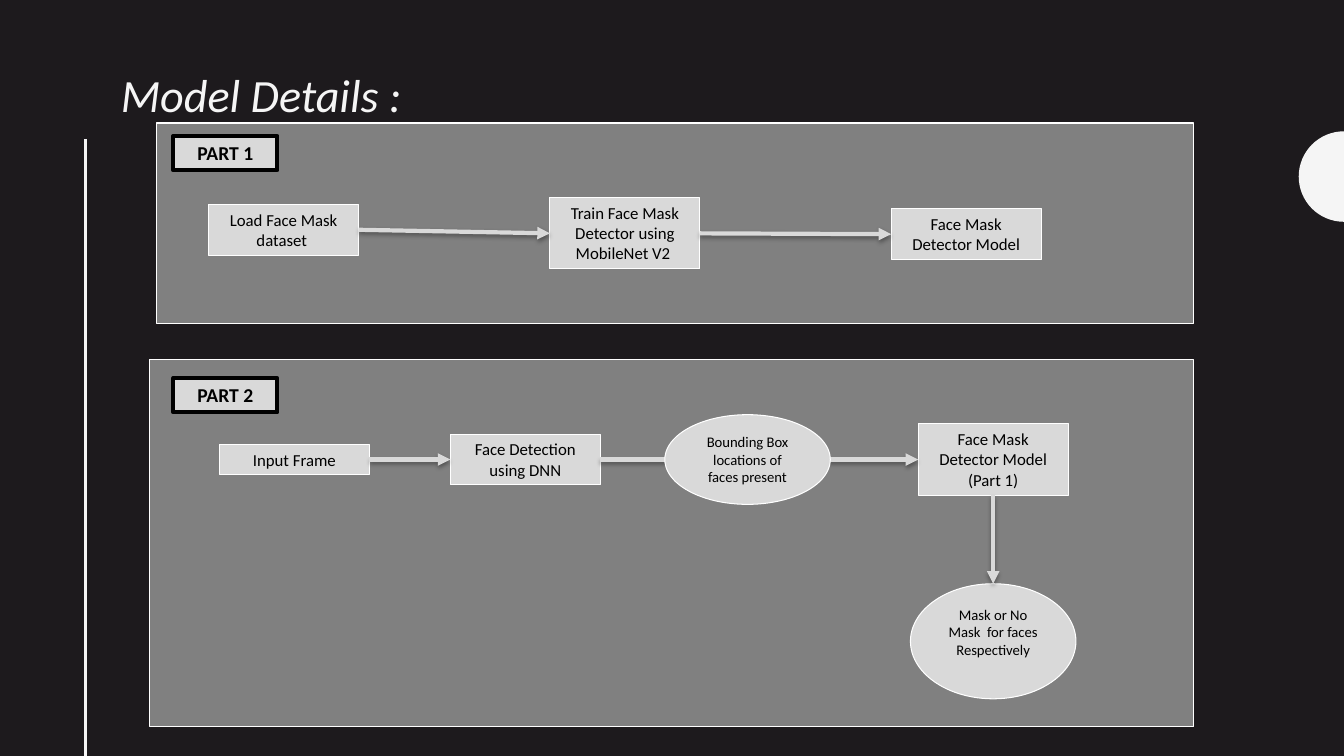
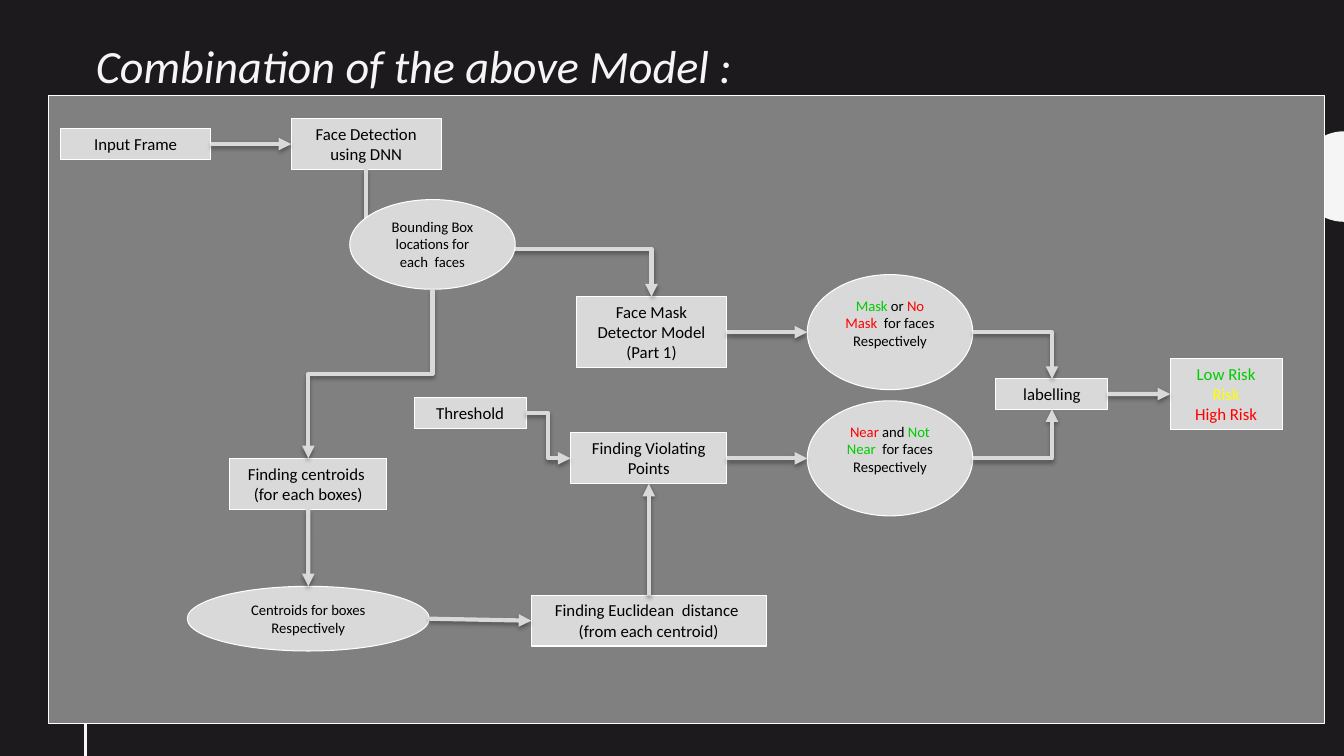
import math

import lxml.etree
import pptx
import pptx.dml.color
import pptx.enum.shapes
import pptx.enum.text
import pptx.oxml.ns
import pptx.util

Cm, Pt = pptx.util.Cm, pptx.util.Pt
SHAPE = pptx.enum.shapes.MSO_SHAPE
CONNECTOR = pptx.enum.shapes.MSO_CONNECTOR
ALIGN = pptx.enum.text.PP_ALIGN
qn = pptx.oxml.ns.qn

# Shared look
FONT = "Calibri"
DARK, LIGHT, PANEL, NODE = "1D1A1D", "F5F5F5", "808080", "D9D9D9"
BLACK, WHITE = "000000", "FFFFFF"
GREEN, RED, YELLOW = "00CC00", "FF0000", "FFFF00"
SLIDE_W, SLIDE_H = 33.87, 19.05
NODE_W = 3.78
SMALL_W = 2.82
OVAL = (4.17, 2.26)
TALL_OVAL = (4.17, 2.9)
SIDES = ("top", "left", "bottom", "right")


def rgb(value):
    return pptx.dml.color.RGBColor.from_string(value)


def write(tf, paragraphs, size=12, color=BLACK, bold=False, italic=False,
          align=ALIGN.CENTER, spacing=None):
    """Each paragraph is a string or a list of (text, colour) runs."""
    tf.word_wrap = True
    tf.auto_size = pptx.enum.text.MSO_AUTO_SIZE.NONE
    tf.vertical_anchor = pptx.enum.text.MSO_ANCHOR.TOP
    for i, content in enumerate(paragraphs):
        p = tf.add_paragraph() if i else tf.paragraphs[0]
        p.alignment = align
        if spacing:
            p.line_spacing = spacing
        runs = [(content, color)] if isinstance(content, str) else content
        for text, run_color in runs:
            r = p.add_run()
            r.text = text
            r.font.name, r.font.size = FONT, Pt(size)
            r.font.bold, r.font.italic = bold, italic
            r.font.color.rgb = rgb(run_color)


def add_box(slide, kind, x, y, w, h, fill=NODE, line=WHITE, weight=0.75):
    sp = slide.shapes.add_shape(kind, Cm(x), Cm(y), Cm(w), Cm(h))
    sp.shadow.inherit = False
    sp.fill.solid()
    sp.fill.fore_color.rgb = rgb(fill)
    sp.line.color.rgb = rgb(line)
    sp.line.width = Pt(weight)
    return sp


class Panel:
    """Grey region; its parts are placed by their centre, from its corner."""

    def __init__(self, slide, x, y, w, h):
        self.slide, self.x, self.y = slide, x, y
        add_box(slide, SHAPE.RECTANGLE, x, y, w, h, PANEL)

    def place(self, kind, cx, cy, w, h, **style):
        return add_box(self.slide, kind, self.x + cx - w / 2,
                       self.y + cy - h / 2, w, h, **style)

    def step(self, cx, cy, *paragraphs, lines=1, w=NODE_W):
        sp = self.place(SHAPE.RECTANGLE, cx, cy, w, 0.25 + 0.515 * lines)
        write(sp.text_frame, paragraphs)
        return sp

    def data(self, cx, cy, content, size=OVAL):
        sp = self.place(SHAPE.OVAL, cx, cy, *size)
        write(sp.text_frame, [content], size=10.5)
        return sp

    def tag(self, cx, cy, text):
        sp = self.place(SHAPE.RECTANGLE, cx, cy, 2.62, 0.86, line=BLACK, weight=3)
        write(sp.text_frame, [text], size=14, bold=True)


def port(sp, side):
    """Point and connection site at the middle of one side."""
    fx, fy = {"top": (0.5, 0), "left": (0, 0.5),
              "bottom": (0.5, 1), "right": (1, 0.5)}[side]
    site = SIDES.index(side)
    if sp.auto_shape_type == SHAPE.OVAL:
        site *= 2
    return round(sp.left + fx * sp.width), round(sp.top + fy * sp.height), site


def sub(parent, tag, **attrs):
    return lxml.etree.SubElement(parent, qn(tag), attrs)


def arrow(slide, a, b, start="right", end="left", bend=None, adj=0.5):
    """Arrow from a to b; bend is None, "step" or "corner"."""
    x1, y1, site1 = port(a, start)
    x2, y2, site2 = port(b, end)
    kind = CONNECTOR.ELBOW if bend else CONNECTOR.STRAIGHT
    line = slide.shapes.add_connector(kind, x1, y1, x2, y2)
    line._connect_begin_to(a, site1)
    line._connect_end_to(b, site2)
    line.line.color.rgb = rgb(NODE)
    line.line.width = Pt(3)
    pr = line._element.spPr
    geom = pr.find(qn("a:prstGeom"))
    if bend == "corner":
        geom.set("prst", "bentConnector2")
    elif bend == "step":
        values = geom.find(qn("a:avLst"))
        if values is None:
            values = sub(geom, "a:avLst")
        sub(values, "a:gd", name="adj1", fmla=f"val {round(adj * 100000)}")
        if start == "bottom":
            # Leave downwards: turn the elbow by a quarter
            w, h = abs(y2 - y1), abs(x2 - x1)
            line.left, line.top = (x1 + x2 - w) // 2, (y1 + y2 - h) // 2
            line.width, line.height = w, h
            xfrm = pr.find(qn("a:xfrm"))
            for flip in ("flipH", "flipV"):
                xfrm.attrib.pop(flip, None)
            xfrm.set("rot", str((270 if x2 > x1 else 90) * 60000))
            if x2 > x1:
                xfrm.set("flipH", "1")
    # Arrowhead and soft shadow
    sub(pr.find(qn("a:ln")), "a:tailEnd", type="triangle")
    shadow = sub(sub(pr, "a:effectLst"), "a:outerShdw", blurRad=str(Pt(3.1)),
                 dist=str(Pt(1.8)), dir="5400000", rotWithShape="0")
    sub(sub(shadow, "a:srgbClr", val=BLACK), "a:alpha", val="35000")


def decorate_layout(layout, slide):
    """Side rule and half disc, built on a slide and moved to its layout."""
    rule = slide.shapes.add_connector(CONNECTOR.STRAIGHT, Cm(2.16), Cm(3.5),
                                      Cm(2.16), Cm(SLIDE_H))
    rule.line.color.rgb = rgb(LIGHT)
    rule.line.width = Pt(2)
    sub(rule._element.spPr, "a:effectLst")

    radius, cy = 1.14, 4.45
    arc = [(Cm(SLIDE_W - radius * math.sin(math.pi * i / 32)),
            Cm(cy - radius * math.cos(math.pi * i / 32))) for i in range(33)]
    builder = slide.shapes.build_freeform(*arc[0])
    builder.add_line_segments(arc[1:], close=True)
    disc = builder.convert_to_shape()
    disc.shadow.inherit = False
    disc.fill.solid()
    disc.fill.fore_color.rgb = rgb(LIGHT)
    disc.line.fill.background()

    for number, part in enumerate((rule, disc), 90):
        part._element.xpath(".//p:cNvPr")[0].set("id", str(number))
        layout.shapes._spTree.append(part._element)


def add_title(slide, text, x, y):
    title = slide.shapes.title
    title.left, title.top, title.width, title.height = (
        Cm(x), Cm(y), Cm(19.53), Cm(1.96))
    write(title.text_frame, [text], size=33, color=LIGHT, italic=True,
          align=ALIGN.LEFT, spacing=1.14)


def training_part(slide, *box):
    panel = Panel(slide, *box)
    first, pitch = 3.21, 8.6
    steps = [("Load Face Mask dataset ", 2.69, 2),
             ("Train Face Mask Detector using MobileNet V2 ", 2.78, 3),
             ("Face Mask Detector Model", 2.8, 2)]
    nodes = [panel.step(first + i * pitch, cy, text, lines=lines)
             for i, (text, cy, lines) in enumerate(steps)]
    for a, b in zip(nodes, nodes[1:]):
        arrow(slide, a, b)
    panel.tag(1.74, 0.76, "PART 1")


def detection_part(slide, *box):
    panel = Panel(slide, *box)
    row = 2.51
    frame = panel.step(3.64, row, "Input Frame")
    detection = panel.step(9.46, row, "Face Detection using DNN", lines=2)
    model = panel.step(21.25, row, "Face Mask Detector Model", "(Part 1)", lines=3)
    arrow(slide, frame, detection)
    arrow(slide, detection, model)
    panel.data(15.06, row, "Bounding Box locations of faces present")
    result = panel.data(21.25, 7.09, "Mask or No Mask  for faces Respectively", TALL_OVAL)
    arrow(slide, model, result, "bottom", "top")
    panel.tag(1.9, 0.89, "PART 2")


def combined_flow(slide, *box):
    panel = Panel(slide, *box)
    mask_row, near_row, label_row = 5.96, 9.14, 7.52
    left_col, mid_col, result_col = 6.55, 15.13, 21.21

    # Detection
    frame = panel.step(2.2, 1.22, "Input Frame")
    detection = panel.step(8.01, 1.22, "Face Detection using DNN", lines=2)
    model = panel.step(15.2, mask_row, "Face Mask Detector Model", "(Part 1)", lines=3)
    arrow(slide, frame, detection)
    arrow(slide, detection, model, "bottom", "top", "step", 0.625)
    boxes = panel.data(9.68, 3.75, "Bounding Box locations for each  faces")

    # Distance branch
    centroids = panel.step(left_col, 9.78, "Finding centroids ", "(for each boxes)",
                           lines=2, w=3.96)
    centres = panel.data(left_col, 13.18, "Centroids for boxes Respectively", (6.1, 1.63))
    distance = panel.step(mid_col, 13.23, "Finding Euclidean  distance ",
                          "(from each centroid)", lines=2, w=5.92)
    violating = panel.step(mid_col, near_row, "Finding Violating Points", lines=2, w=3.94)
    threshold = panel.step(10.63, 8, "Threshold", w=SMALL_W)
    arrow(slide, boxes, centroids, "bottom", "top", "step")
    arrow(slide, centroids, centres, "bottom", "top")
    arrow(slide, centres, distance)
    arrow(slide, distance, violating, "top", "bottom")
    arrow(slide, threshold, violating, bend="step")

    # Results and labels
    mask = panel.data(result_col, mask_row, [
        ("Mask", GREEN), (" or ", BLACK), ("No Mask  ", RED),
        ("for faces Respectively", BLACK)], TALL_OVAL)
    near = panel.data(result_col, near_row, [
        ("Near", RED), (" and ", BLACK), ("Not Near ", GREEN),
        (" for faces Respectively", BLACK)], TALL_OVAL)
    label = panel.step(25.29, label_row, "labelling", w=SMALL_W)
    risk = panel.step(29.68, label_row, [("Low Risk", GREEN)], [("Risk", YELLOW)],
                      [("High Risk", RED)], lines=3, w=SMALL_W)
    arrow(slide, model, mask)
    arrow(slide, violating, near)
    arrow(slide, mask, label, "right", "top", "corner")
    arrow(slide, near, label, "right", "bottom", "corner")
    arrow(slide, label, risk)


def main():
    prs = pptx.Presentation()
    prs.slide_width, prs.slide_height = Cm(SLIDE_W), Cm(SLIDE_H)
    background = prs.slide_master.background.fill
    background.solid()
    background.fore_color.rgb = rgb(DARK)
    layout = prs.slide_layouts.get_by_name("Title Only")

    details = prs.slides.add_slide(layout)
    decorate_layout(layout, details)
    add_title(details, "Model Details :", 2.79, 1.35)
    training_part(details, 3.94, 3.1, 26.14, 5.05)
    detection_part(details, 3.78, 9.07, 26.31, 9.25)

    combination = prs.slides.add_slide(layout)
    add_title(combination, "Combination of the above Model :", 2.16, 0.61)
    combined_flow(combination, 1.22, 2.41, 32.16, 15.82)

    prs.save("out.pptx")


if __name__ == "__main__":
    main()
